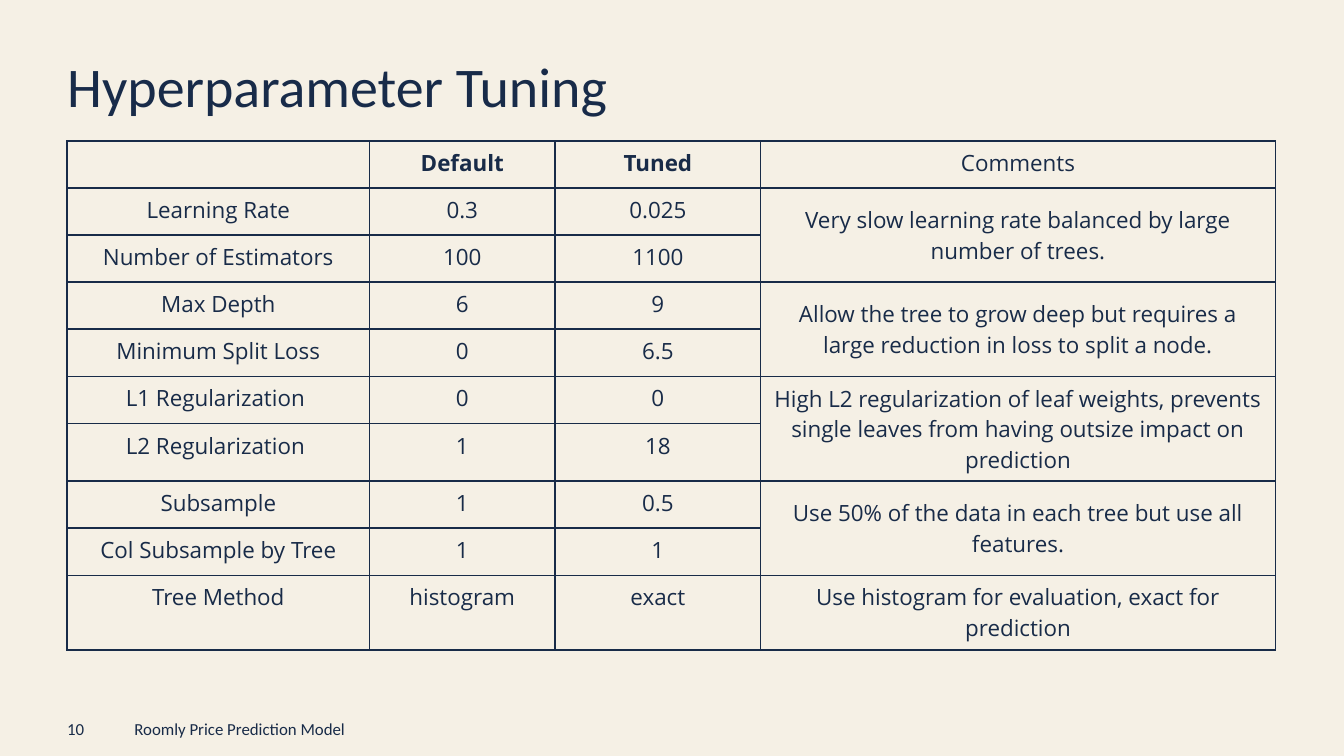
from dataclasses import dataclass

from lxml import etree
from pptx import Presentation
from pptx import util as u
from pptx.dml.color import RGBColor
from pptx.enum import text
from pptx.oxml.ns import qn

CREAM = "F5F0E5"
NAVY = "182B48"
TITLE_NAVY = "182B49"
HEADING_FONT = "Calibri"
TABLE_FONT = "Open Sans"
SLIDE_WIDTH = 10
SLIDE_HEIGHT = SLIDE_WIDTH * 9 / 16
COLUMN_WIDTHS = (2.25, 1.38, 1.53, 3.83)
ROW_HEIGHT = 0.35


@dataclass
class Parameter:
    name: str
    default: str
    tuned: str


@dataclass
class Group:
    """Neighbouring parameters that share one comment."""
    comment: str
    parameters: list[Parameter]


@dataclass
class Label:
    words: str
    left: float
    width: float


GROUPS = [
    Group("Very slow learning rate balanced by large number of trees.",
          [Parameter("Learning Rate", "0.3", "0.025"),
           Parameter("Number of Estimators", "100", "1100")]),
    Group("Allow the tree to grow deep but requires a large reduction in loss to split a node.",
          [Parameter("Max Depth", "6", "9"),
           Parameter("Minimum Split Loss", "0", "6.5")]),
    Group("High L2 regularization of leaf weights, prevents single leaves "
          "from having outsize impact on prediction",
          [Parameter("L1 Regularization ", "0", "0"),
           Parameter("L2 Regularization ", "1", "18")]),
    Group("Use 50% of the data in each tree but use all features.",
          [Parameter("Subsample", "1", "0.5"),
           Parameter("Col Subsample by Tree", "1", "1")]),
    Group("Use histogram for evaluation, exact for prediction",
          [Parameter("Tree Method", "histogram", "exact")]),
]
FOOTER = [Label("Roomly Price Prediction Model", 1, 5.69), Label("10", 0.5, 0.36)]


def colour(value: str) -> RGBColor:
    return RGBColor.from_string(value)


def add_span(para, words: str, size: float, font: str, ink: str = NAVY, bold: bool = False) -> None:
    span = para.add_run()
    span.text = words
    span.font.size = u.Pt(size)
    span.font.name = font
    span.font.bold = bold
    span.font.color.rgb = colour(ink)


def set_frame(frame, anchor) -> None:
    frame.margin_left = frame.margin_right = frame.margin_top = frame.margin_bottom = 0
    frame.word_wrap = True
    frame.auto_size = text.MSO_AUTO_SIZE.NONE
    frame.vertical_anchor = anchor


def style_cell(cell) -> None:
    """Give a cell thin borders on all sides and no fill."""
    properties = cell._tc.get_or_add_tcPr()
    for side in ("lnL", "lnR", "lnT", "lnB"):
        line = etree.SubElement(properties, qn(f"a:{side}"), w=str(u.Pt(1)))
        fill = etree.SubElement(line, qn("a:solidFill"))
        etree.SubElement(fill, qn("a:srgbClr"), val=NAVY)
    cell.fill.background()


def write_cell(cell, words: str, bold: bool = False) -> None:
    para = cell.text_frame.paragraphs[0]
    para.alignment = text.PP_ALIGN.CENTER
    if words:
        add_span(para, words, 12, TABLE_FONT, bold=bold)
    else:
        # Keeps the empty cell from stretching its row
        etree.SubElement(para._p, qn("a:endParaRPr"), sz="1200")


def add_title(page, words: str) -> None:
    box = page.shapes.title
    box.left, box.top = u.Inches(0.5), u.Inches(0.48)
    box.width, box.height = u.Inches(9), u.Inches(0.57)
    set_frame(box.text_frame, text.MSO_ANCHOR.TOP)
    para = box.text_frame.paragraphs[0]
    para.alignment = text.PP_ALIGN.LEFT
    para.line_spacing = 0.8
    add_span(para, words, 30, HEADING_FONT, TITLE_NAVY)


def add_label(page, label: Label) -> None:
    box = page.shapes.add_textbox(u.Inches(label.left), u.Inches(5.22),
                                  u.Inches(label.width), u.Inches(0.41))
    set_frame(box.text_frame, text.MSO_ANCHOR.MIDDLE)
    add_span(box.text_frame.paragraphs[0], label.words, 9, HEADING_FONT)


def add_parameter_table(page, groups: list[Group]) -> None:
    row_count = 1 + sum(len(group.parameters) for group in groups)
    table = page.shapes.add_table(row_count, len(COLUMN_WIDTHS), u.Inches(0.5), u.Inches(1.05),
                                  u.Inches(sum(COLUMN_WIDTHS)),
                                  u.Inches(row_count * ROW_HEIGHT)).table
    table.first_row = table.horz_banding = False
    for column, width in zip(table.columns, COLUMN_WIDTHS):
        column.width = u.Inches(width)
    for row in table.rows:
        row.height = u.Inches(ROW_HEIGHT)
    for cell in table.iter_cells():
        style_cell(cell)

    # Header row
    for column, heading in enumerate(("", "Default", "Tuned", "Comments")):
        write_cell(table.cell(0, column), heading, bold=heading != "Comments")

    # Parameters, with one comment cell per group
    row = 1
    for group in groups:
        comment = table.cell(row, 3)
        if len(group.parameters) > 1:
            comment.merge(table.cell(row + len(group.parameters) - 1, 3))
            comment.vertical_anchor = text.MSO_ANCHOR.MIDDLE
        write_cell(comment, group.comment)
        for parameter in group.parameters:
            for column, words in enumerate((parameter.name, parameter.default, parameter.tuned)):
                write_cell(table.cell(row, column), words)
            row += 1


def main() -> None:
    deck = Presentation()
    deck.slide_width, deck.slide_height = u.Inches(SLIDE_WIDTH), u.Inches(SLIDE_HEIGHT)
    page = deck.slides.add_slide(deck.slide_layouts.get_by_name("Title Only"))
    page.background.fill.solid()
    page.background.fill.fore_color.rgb = colour(CREAM)

    for label in FOOTER:
        add_label(page, label)
    add_title(page, "Hyperparameter Tuning")
    add_parameter_table(page, GROUPS)
    deck.save("out.pptx")


if __name__ == "__main__":
    main()
